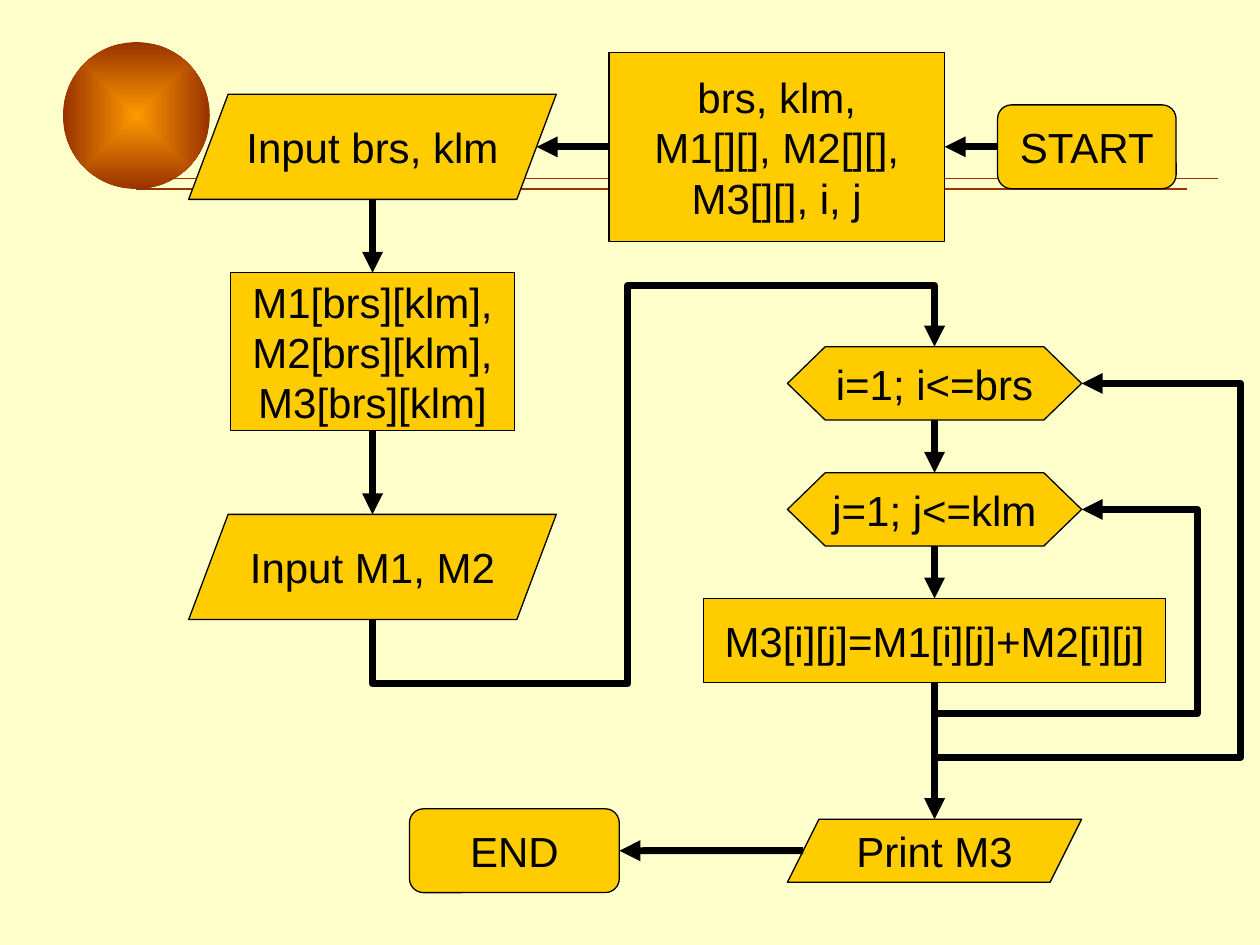
from lxml import etree
from pptx import Presentation
from pptx.dml.color import RGBColor
from pptx.enum.shapes import MSO_CONNECTOR, MSO_SHAPE
from pptx.enum.text import MSO_ANCHOR, PP_ALIGN
from pptx.oxml.ns import qn
from pptx.util import Cm, Pt

STRAIGHT, ELBOW = MSO_CONNECTOR.STRAIGHT, MSO_CONNECTOR.ELBOW
RECTANGLE, ROUNDED = MSO_SHAPE.RECTANGLE, MSO_SHAPE.ROUNDED_RECTANGLE
PARALLELOGRAM, HEXAGON, OVAL = MSO_SHAPE.PARALLELOGRAM, MSO_SHAPE.HEXAGON, MSO_SHAPE.OVAL
MIDDLE, CENTER = MSO_ANCHOR.MIDDLE, PP_ALIGN.CENTER
TOP, LEFT, BOTTOM, RIGHT = range(4)

COLORS = {"background": "FFFFCC", "node": "FFCC00", "ink": "000000",
          "rust": "993300", "orange": "FF9900"}
COLORS = {name: RGBColor.from_string(value) for name, value in COLORS.items()}
TEXT_FORMAT = {"name": "Arial", "size": Pt(24)}
FRAME_FORMAT = {"word_wrap": False, "vertical_anchor": MIDDLE}

presentation = Presentation()
presentation.slide_width, presentation.slide_height = Cm(25.4), Cm(19.05)
slide = presentation.slides.add_slide(presentation.slide_layouts[6])
slide.background.fill.solid()
slide.background.fill.fore_color.rgb = COLORS["background"]


def side_point(shape, side):
    """Middle of a side; slanted sides of a parallelogram lie further in."""
    inset = 0
    if shape.auto_shape_type == PARALLELOGRAM:
        inset = int(shape.adjustments[0] * shape.height / 2)
    x = {LEFT: shape.left + inset, RIGHT: shape.left + shape.width - inset}
    y = {TOP: shape.top, BOTTOM: shape.top + shape.height}
    return (x.get(side, shape.left + shape.width // 2),
            y.get(side, shape.top + shape.height // 2))


def add_line(kind, begin, end, color, width, arrow=True):
    connector = slide.shapes.add_connector(kind, *begin, *end)
    connector.line.color.rgb = COLORS[color]
    connector.line.width = Pt(width)
    if arrow:
        line = connector.line._get_or_add_ln()
        etree.SubElement(line, qn("a:tailEnd"), type="triangle")
    etree.SubElement(connector._element.spPr, qn("a:effectLst"))
    return connector


# Decoration: shaded ball and two thin rules
ball = slide.shapes.add_shape(OVAL, Cm(1.27), Cm(0.85), Cm(2.96), Cm(2.96))
ball.shadow.inherit = False
ball.line.fill.background()
ball.fill.gradient()
for stop, color in zip(ball.fill.gradient_stops, ("orange", "rust")):
    stop.color.rgb = COLORS[color]
gradient = ball._element.spPr.find(qn("a:gradFill"))
gradient.remove(gradient.find(qn("a:lin")))
shade = etree.SubElement(gradient, qn("a:path"), path="rect")
etree.SubElement(shade, qn("a:fillToRect"),
                 {edge: "50000" for edge in ("l", "t", "r", "b")})
for left, top in ((2.75, 3.81), (3.39, 3.6)):
    add_line(STRAIGHT, (Cm(left), Cm(top)), (Cm(left + 21.17), Cm(top)),
             "rust", 0.75, arrow=False)

# Flowchart nodes: kind, centre, size, adjustment, text
left_column, right_column = 7.51, 18.84
top_row, bottom_row = 2.96, 17.15
nodes = {}
for name, kind, x, y, width, height, adjustment, text in (
    ("start", ROUNDED, 21.91, top_row, 3.6, 1.69, 0.167, "START"),
    ("declare", RECTANGLE, 15.66, top_row, 6.77, 3.81, None,
     "brs, klm,\nM1[][], M2[][],\nM3[][], i, j"),
    ("input size", PARALLELOGRAM, left_column, top_row, 7.41, 2.12, 0.375, "Input brs, klm"),
    ("allocate", RECTANGLE, left_column, 7.09, 5.72, 3.18, None,
     "M1[brs][klm],\nM2[brs][klm],\nM3[brs][klm]"),
    ("input data", PARALLELOGRAM, left_column, 11.43, 7.41, 2.12, 0.375, "Input M1, M2"),
    ("row loop", HEXAGON, right_column, 7.73, 5.93, 1.48, 0.515, "i=1; i<=brs"),
    ("column loop", HEXAGON, right_column, 10.27, 5.93, 1.48, 0.515, "j=1; j<=klm"),
    ("sum", RECTANGLE, right_column, 12.91, 9.31, 1.69, None, "M3[i][j]=M1[i][j]+M2[i][j]"),
    ("print", PARALLELOGRAM, right_column, bottom_row, 5.93, 1.27, 0.5, "Print M3"),
    ("end", ROUNDED, 10.37, bottom_row, 4.23, 1.69, 0.167, "END"),
):
    shape = slide.shapes.add_shape(kind, Cm(x - width / 2), Cm(y - height / 2),
                                   Cm(width), Cm(height))
    nodes[name] = shape
    if adjustment is not None:
        shape.adjustments[0] = adjustment
    shape.shadow.inherit = False
    shape.fill.solid()
    shape.fill.fore_color.rgb = COLORS["node"]
    shape.line.color.rgb = COLORS["ink"]
    shape.line.width = Pt(0.75)
    frame = shape.text_frame
    frame.text = text
    for attribute, value in FRAME_FORMAT.items():
        setattr(frame, attribute, value)
    for paragraph in frame.paragraphs:
        paragraph.alignment = CENTER
        paragraph.font.color.rgb = COLORS["ink"]
        for attribute, value in TEXT_FORMAT.items():
            setattr(paragraph.font, attribute, value)

# Straight arrows, joined to the nodes that are rectangles
for source, source_side, target, target_side in (
    ("start", LEFT, "declare", RIGHT),
    ("declare", LEFT, "input size", RIGHT),
    ("input size", BOTTOM, "allocate", TOP),
    ("allocate", BOTTOM, "input data", TOP),
    ("row loop", BOTTOM, "column loop", TOP),
    ("column loop", BOTTOM, "sum", TOP),
    ("sum", BOTTOM, "print", TOP),
    ("print", LEFT, "end", RIGHT),
):
    source, target = nodes[source], nodes[target]
    arrow = add_line(STRAIGHT, side_point(source, source_side),
                     side_point(target, target_side), "ink", 4)
    if source.auto_shape_type in (RECTANGLE, ROUNDED):
        arrow.begin_connect(source, source_side)
    if target.auto_shape_type in (RECTANGLE, ROUNDED):
        arrow.end_connect(target, target_side)

# Bent arrows leave downwards: a flipped frame turned by 90 degrees
for source, target, target_side, preset, bends in (
    ("input data", "row loop", TOP, "bentConnector5", (-0.236, 0.454, 1.224)),
    ("sum", "row loop", RIGHT, "bentConnector4", (-0.251, 2.082)),
    ("sum", "column loop", RIGHT, "bentConnector4", (-0.182, 1.785)),
):
    begin_x, begin_y = side_point(nodes[source], BOTTOM)
    end_x, end_y = side_point(nodes[target], target_side)
    middle_x, middle_y = (begin_x + end_x) // 2, (begin_y + end_y) // 2
    half_width, half_height = (begin_y - end_y) // 2, (end_x - begin_x) // 2
    arrow = add_line(ELBOW, (middle_x + half_width, middle_y + half_height),
                     (middle_x - half_width, middle_y - half_height), "ink", 4)
    properties = arrow._element.spPr
    properties.find(qn("a:xfrm")).set("rot", "5400000")
    geometry = properties.find(qn("a:prstGeom"))
    geometry.set("prst", preset)
    guides = geometry.find(qn("a:avLst"))
    for number, bend in enumerate(bends, 1):
        etree.SubElement(guides, qn("a:gd"), name=f"adj{number}",
                         fmla=f"val {round(bend * 100000)}")

presentation.save("out.pptx")
